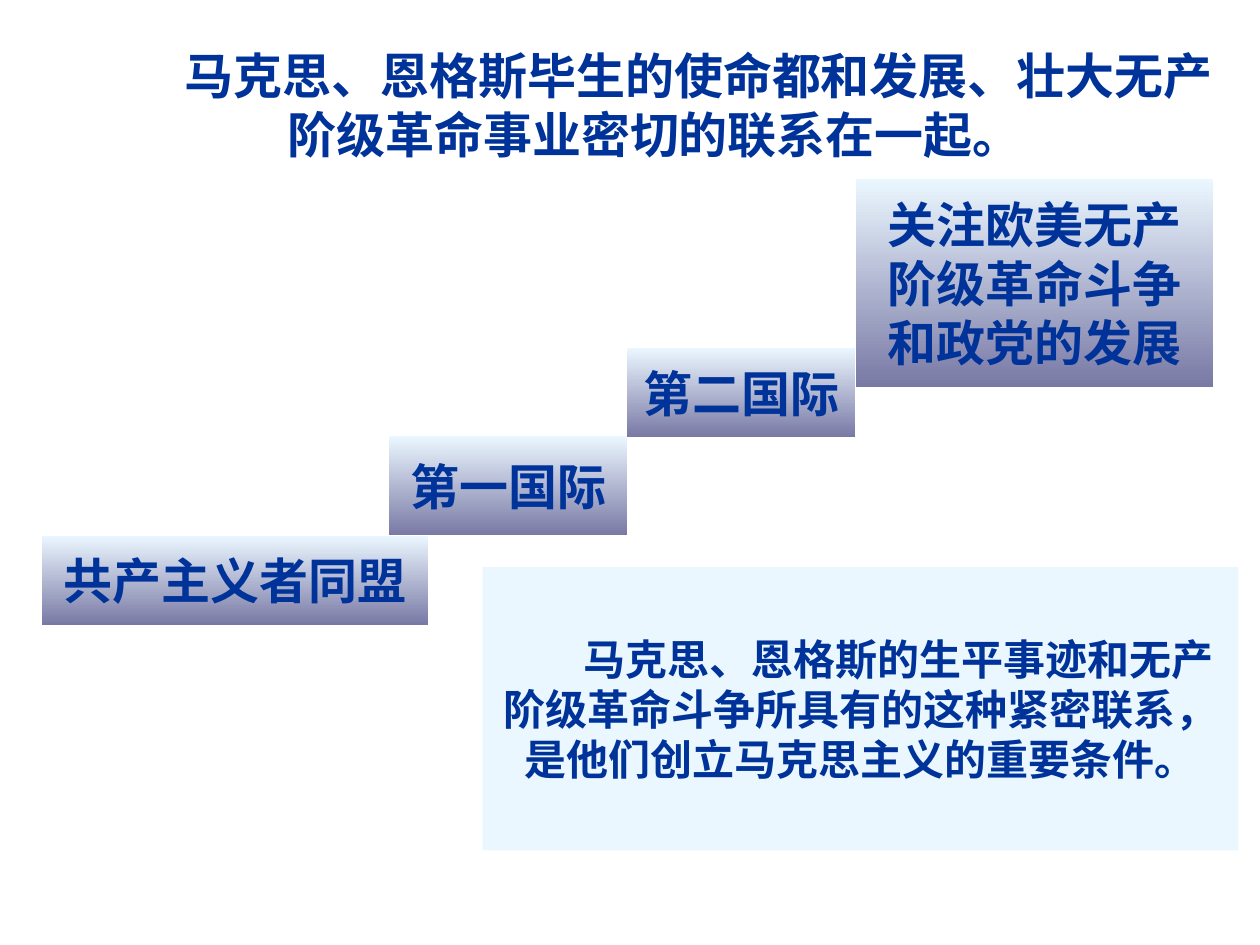
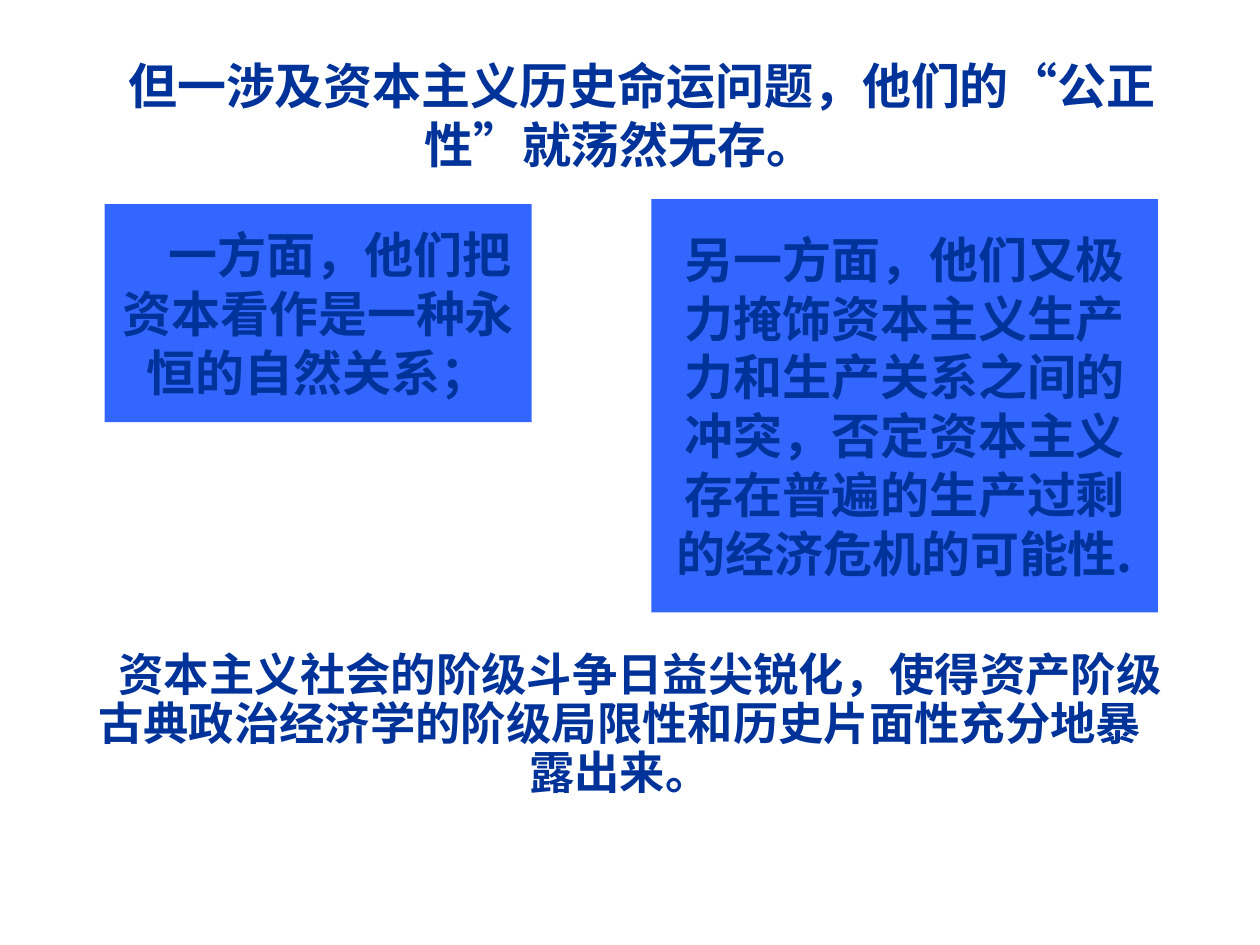
from lxml import etree
from pptx import Presentation
from pptx.dml.color import RGBColor
from pptx.enum.shapes import MSO_SHAPE
from pptx.enum.text import MSO_ANCHOR, MSO_AUTO_SIZE, PP_ALIGN
from pptx.oxml.ns import qn
from pptx.util import Inches, Pt

RECTANGLE = MSO_SHAPE.RECTANGLE
MIDDLE = MSO_ANCHOR.MIDDLE
NO_AUTOFIT = MSO_AUTO_SIZE.NONE
CENTER = PP_ALIGN.CENTER

NAVY = RGBColor(0x00, 0x33, 0x99)
ICE = RGBColor(0xEB, 0xF7, 0xFF)
MAUVE = RGBColor(0x79, 0x79, 0xA5)
BLUE = RGBColor(0x33, 0x66, 0xFF)

LATIN_FONT = "Arial"
CHINESE_FONT = "Noto Sans CJK SC"
TITLE_ONLY = 5
TEXT_SIZE = 28
NARROW_INDENT = 0.9
WIDE_INDENT = 1.8

STAIRS = [
    ("共产主义者同盟", (0.33, 4.25, 3.07, 0.71)),
    ("第一国际", (3.09, 3.46, 1.89, 0.79)),
    ("第二国际", (4.98, 2.76, 1.81, 0.71)),
    ("关注欧美无产阶级革命斗争和政党的发展", (6.79, 1.42, 2.84, 1.65)),
]


def write_text(shape, text, font_name, size=TEXT_SIZE, indent_ems=0):
    frame = shape.text_frame
    frame.text = text
    frame.word_wrap = True
    frame.auto_size = NO_AUTOFIT
    frame.vertical_anchor = MIDDLE
    frame.margin_left = frame.margin_right = Inches(0.1)
    frame.margin_top = frame.margin_bottom = Inches(0.05)
    paragraph = frame.paragraphs[0]
    paragraph.alignment = CENTER
    properties = paragraph._p.get_or_add_pPr()
    properties.set("marL", "0")
    properties.set("indent", str(int(Pt(size * indent_ems))))
    run = paragraph.runs[0]
    run.font.name = font_name
    run.font.size = Pt(size)
    run.font.bold = True
    run.font.color.rgb = NAVY
    east_asian = etree.SubElement(run._r.get_or_add_rPr(), qn("a:ea"))
    east_asian.set("typeface", CHINESE_FONT)
    return paragraph


def add_titled_slide(presentation, text, box, font_name, indent_ems):
    slide = presentation.slides.add_slide(presentation.slide_layouts[TITLE_ONLY])
    title = slide.shapes.title
    title.left, title.top, title.width, title.height = map(Inches, box)
    write_text(title, text, font_name, indent_ems=indent_ems)
    return slide


def add_box(shapes, text, box, color, font_name, size=TEXT_SIZE, indent_ems=0):
    shape = shapes.add_shape(RECTANGLE, *map(Inches, box))
    shape.shadow.inherit = False
    shape.fill.solid()
    shape.fill.fore_color.rgb = color
    shape.line.fill.background()
    write_text(shape, text, font_name, size, indent_ems)
    return shape


def add_stair(shapes, text, box):
    stair = add_box(shapes, text, box, ICE, LATIN_FONT)
    stair.fill.gradient()
    stair.fill.gradient_angle = 270
    for position, (stop, color) in enumerate(
        zip(stair.fill.gradient_stops, (ICE, MAUVE))
    ):
        stop.position = position
        stop.color.rgb = color


def build_movement_slide(presentation):
    slide = add_titled_slide(
        presentation,
        "马克思、恩格斯毕生的使命都和发展、壮大无产阶级革命事业密切的联系在一起。",
        (0.59, 0.28, 9.21, 1.1), LATIN_FONT, WIDE_INDENT,
    )
    add_box(
        slide.shapes,
        "马克思、恩格斯的生平事迹和无产阶级革命斗争所具有的这种紧密联系，"
        "是他们创立马克思主义的重要条件。",
        (3.83, 4.5, 6, 2.25), ICE, LATIN_FONT, 24, WIDE_INDENT,
    )
    staircase = slide.shapes.add_group_shape()
    for text, box in STAIRS:
        add_stair(staircase.shapes, text, box)


def build_economics_slide(presentation):
    slide = add_titled_slide(
        presentation,
        "但一涉及资本主义历史命运问题，他们的“公正性”就荡然无存。",
        (0.51, 0.28, 8.82, 1.26), CHINESE_FONT, NARROW_INDENT,
    )
    add_box(
        slide.shapes,
        "一方面，他们把资本看作是一种永恒的自然关系；",
        (0.83, 1.62, 3.39, 1.73), BLUE, CHINESE_FONT, indent_ems=NARROW_INDENT,
    )
    add_box(
        slide.shapes,
        "另一方面，他们又极力掩饰资本主义生产力和生产关系之间的冲突，"
        "否定资本主义存在普遍的生产过剩的经济危机的可能性.",
        (5.17, 1.58, 4.02, 3.28), BLUE, CHINESE_FONT,
    )
    conclusion = slide.shapes.add_textbox(*map(Inches, (0.51, 5.01, 8.82, 1.5)))
    paragraph = write_text(
        conclusion,
        "资本主义社会的阶级斗争日益尖锐化，使得资产阶级古典政治经济学的"
        "阶级局限性和历史片面性充分地暴露出来。",
        CHINESE_FONT, 25.9, NARROW_INDENT,
    )
    paragraph.line_spacing = 0.9


def main():
    presentation = Presentation()
    presentation.slide_width = Inches(10)
    presentation.slide_height = Inches(7.5)
    build_movement_slide(presentation)
    build_economics_slide(presentation)
    presentation.save("out.pptx")


if __name__ == "__main__":
    main()
